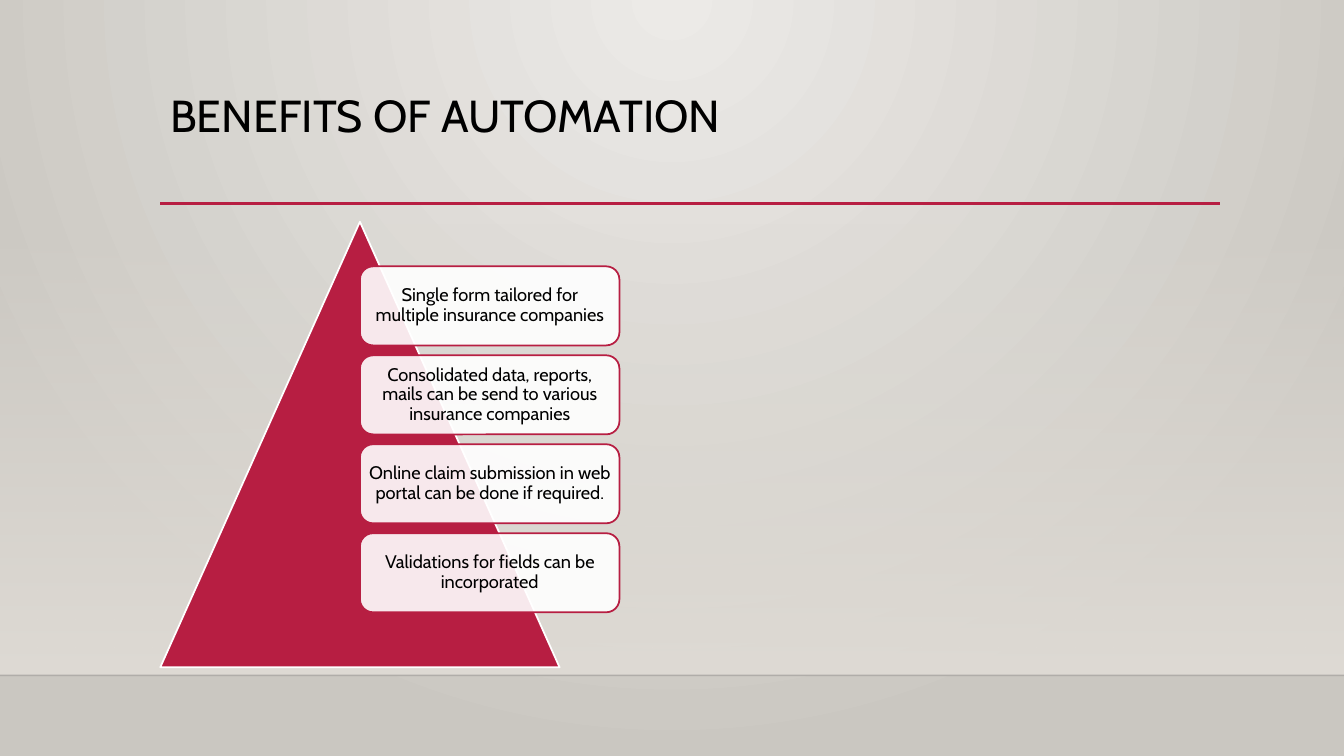
"""Builds the slide on the benefits of automation."""
from dataclasses import dataclass

from lxml import etree
from pptx import Presentation
from pptx.dml.color import RGBColor
from pptx.enum.shapes import MSO_CONNECTOR, MSO_SHAPE
from pptx.enum.text import MSO_ANCHOR, PP_ALIGN
from pptx.oxml.ns import qn
from pptx.util import Inches, Pt

LINE = MSO_CONNECTOR.STRAIGHT
RECT, PEAK, CARD = MSO_SHAPE.RECTANGLE, MSO_SHAPE.ISOSCELES_TRIANGLE, MSO_SHAPE.ROUNDED_RECTANGLE
TOP, MID = MSO_ANCHOR.TOP, MSO_ANCHOR.MIDDLE
LEFT, CENTER = PP_ALIGN.LEFT, PP_ALIGN.CENTER

TITLE = "BENEFITS OF AUTOMATION"
GAINS = [
    "Single form tailored for multiple insurance companies",
    "Consolidated data, reports, mails can be send to various insurance companies",
    "Online claim submission in web portal can be done if required.",
    "Validations for fields can be incorporated",
]


@dataclass(frozen=True)
class Theme:
    font: str = "Cabin"
    ink: str = "000000"
    red: str = "B71E42"
    white: str = "FFFFFF"
    light: str = "ECEAE7"
    dark: str = "CAC7C1"
    wall: str = "DFDBD5"
    edge: str = "000001"
    head: float = 32
    body: float = 13
    thin: float = 1.25


LOOK = Theme()
WIDE, HIGH = 13.33, 7.5
MARGIN, FLOOR, RULE = 1.59, 6.7, 2.02
PEAK_TOP, PEAK_W, PEAK_H = 2.2, 3.96, 4.42
CARD_W, CARD_H = PEAK_W * 0.65, PEAK_H * 0.1775
PITCH = CARD_H * 9 / 8
CARD_X, CARD_Y = MARGIN + PEAK_W / 2, PEAK_TOP + PEAK_H / 10


def tint(color, share):
    node = etree.SubElement(color, qn("a:alpha"))
    node.set("val", str(share * 1000))


def blend(fill, first, last):
    fill.gradient()
    for stop, tone in zip(fill.gradient_stops, (first, last)):
        stop.color.rgb = RGBColor.from_string(tone)


def backdrop(slide):
    blend(slide.background.fill, LOOK.light, LOOK.dark)
    grad = slide.element.find(".//" + qn("a:gradFill"))
    grad.remove(grad.find(qn("a:lin")))
    path = etree.SubElement(grad, qn("a:path"))
    path.set("path", "circle")
    focus = etree.SubElement(path, qn("a:fillToRect"))
    for side, share in zip("ltrb", (43, 0, 43, 100)):
        focus.set(side, str(share * 1000))


def stroke(line, tone, width):
    line.color.rgb = RGBColor.from_string(tone)
    line.width = Pt(width)


def rule(slide, left, right, y, tone, width):
    line = slide.shapes.add_connector(LINE, Inches(left), Inches(y), Inches(right), Inches(y))
    stroke(line.line, tone, width)
    etree.SubElement(line.element.spPr, qn("a:effectLst"))
    return line


def block(slide, kind, *box):
    shape = slide.shapes.add_shape(kind, *map(Inches, box))
    shape.shadow.inherit = False
    return shape


def paint(shape, tone, edge):
    shape.fill.solid()
    shape.fill.fore_color.rgb = RGBColor.from_string(tone)
    stroke(shape.line, edge, LOOK.thin)


def write(shape, words, size, align, anchor, pad):
    frame = shape.text_frame
    frame.word_wrap = True
    frame.vertical_anchor = anchor
    frame.margin_left = frame.margin_right = Inches(pad)
    frame.margin_top = frame.margin_bottom = Inches(0.05)
    para = frame.paragraphs[0]
    para.alignment, para.line_spacing = align, 0.9
    run = para.add_run()
    run.text = words
    run.font.name, run.font.size = LOOK.font, Pt(size)
    run.font.color.rgb = RGBColor.from_string(LOOK.ink)


def main():
    deck = Presentation()
    deck.slide_width, deck.slide_height = Inches(WIDE), Inches(HIGH)
    slide = deck.slides.add_slide(deck.slide_layouts[6])
    backdrop(slide)

    wall = block(slide, RECT, 0, 2.21, WIDE, FLOOR - 2.21)
    blend(wall.fill, LOOK.wall, LOOK.wall)
    wall.fill.gradient_angle = 270
    tint(wall.element.spPr.find(".//" + qn("a:srgbClr")), 0)
    wall.line.fill.background()

    base = rule(slide, 0, WIDE, FLOOR, LOOK.edge, 1)
    tint(base.element.spPr.find(".//" + qn("a:srgbClr")), 20)
    rule(slide, MARGIN, 12.1, RULE, LOOK.red, 2.5)

    title = slide.shapes.add_textbox(*map(Inches, (MARGIN, 0.88, 10.5, 1.15)))
    write(title, TITLE, LOOK.head, LEFT, TOP, 0.1)

    peak = block(slide, PEAK, MARGIN, PEAK_TOP, PEAK_W, PEAK_H)
    paint(peak, LOOK.red, LOOK.white)
    for row, gain in enumerate(GAINS):
        card = block(slide, CARD, CARD_X, CARD_Y + row * PITCH, CARD_W, CARD_H)
        paint(card, LOOK.white, LOOK.red)
        tint(card.element.spPr.find(".//" + qn("a:srgbClr")), 90)
        write(card, gain, LOOK.body, CENTER, MID, 0.05)

    deck.save("out.pptx")


if __name__ == "__main__":
    main()
